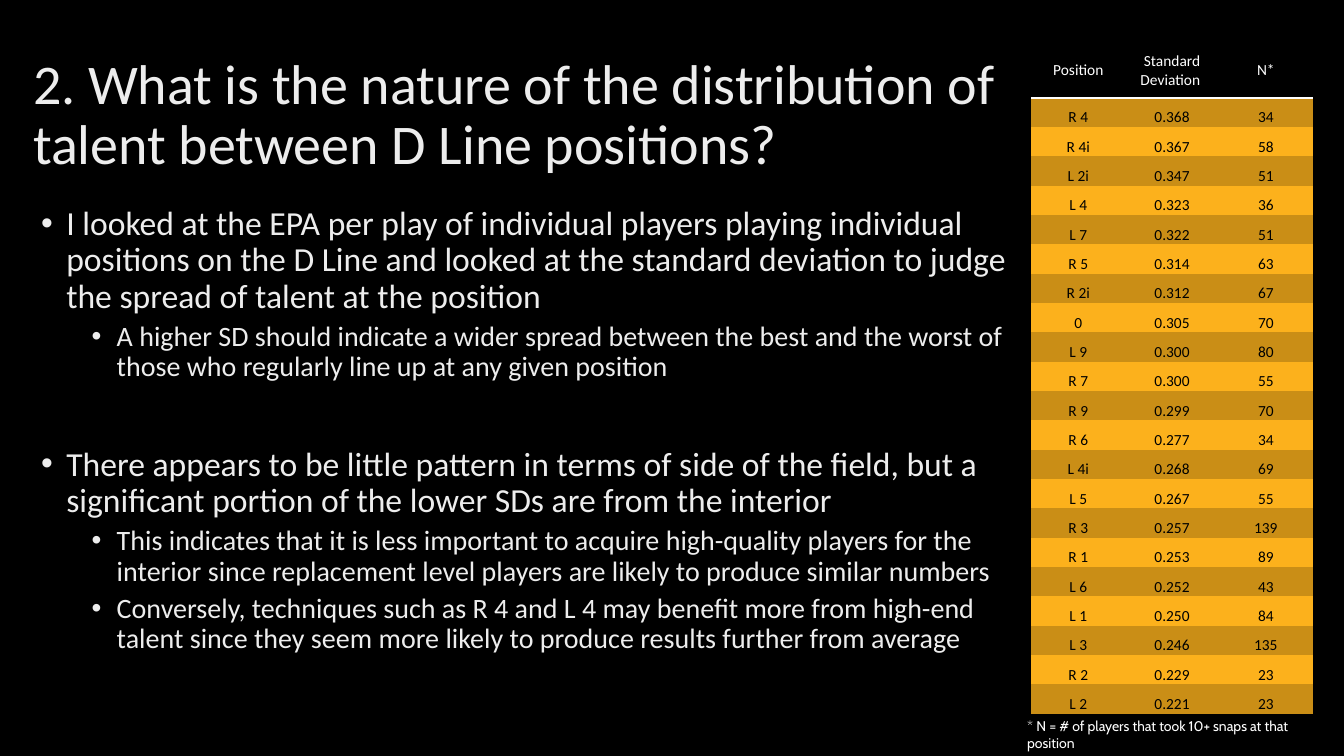
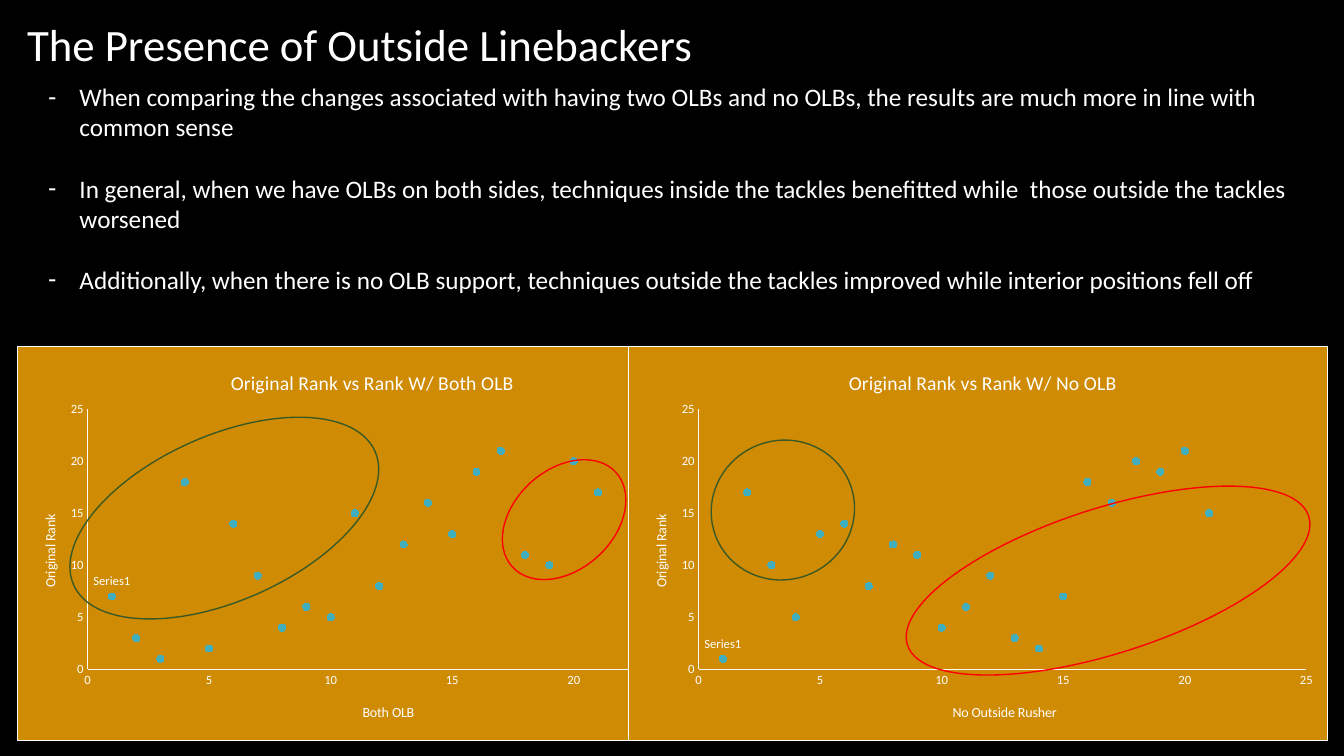
from pptx import Presentation
from pptx.chart.data import XyChartData
from pptx.dml.color import RGBColor
from pptx.enum import chart as charts, shapes, text
from pptx.oxml import parse_xml
from pptx.oxml.ns import nsdecls, qn
from pptx.util import Inches, Pt

BLACK, WHITE, PALE = "000000", "FFFFFF", "EDEDED"
DARK_GOLD, GOLD, CHART_GOLD = "CA8E16", "FCB11C", "CF8B03"
TEAL, GREEN, RED = "41AEBD", "3A5925", "FF0000"


def color(value):
    return RGBColor.from_string(value)


def add_text(page, place, items, font_color, font="Calibri", anchor=text.MSO_ANCHOR.TOP):
    """Add a text box; each item is (text, size, space before, line spacing, bullet, indent, hang)."""
    box = page.shapes.add_textbox(*[Inches(length) for length in place])
    frame = box.text_frame
    frame.word_wrap = True
    frame.vertical_anchor = anchor
    for index, (words, size, before, spacing, bullet, indent, hang) in enumerate(items):
        para = frame.add_paragraph() if index else frame.paragraphs[0]
        para.text = words
        para.space_before = Pt(before)
        para.line_spacing = spacing
        span = para.runs[0]
        span.font.name, span.font.size = font, Pt(size)
        span.font.color.rgb = color(font_color)
        if bullet:
            props = para._p.get_or_add_pPr()
            props.set("marL", str(Inches(indent)))
            props.set("indent", str(-Inches(hang)))
            props.append(parse_xml(f'<a:buFont {nsdecls("a")} typeface="Arial"/>'))
            props.append(parse_xml(f'<a:buChar {nsdecls("a")} char="{bullet}"/>'))


deck = Presentation()
deck.slide_width, deck.slide_height = Inches(13.33), Inches(7.5)
pages = [deck.slides.add_slide(deck.slide_layouts[6]) for _ in range(2)]
for page in pages:
    page.background.fill.solid()
    page.background.fill.fore_color.rgb = color(BLACK)
talent_page, linebacker_page = pages

# Distribution of talent: table
rows = [
    ("Position", "Standard Deviation ", "N*"),
    ("R 4", "0.368", "34"), ("R 4i", "0.367", "58"), ("L 2i", "0.347", "51"),
    ("L 4", "0.323", "36"), ("L 7", "0.322", "51"), ("R 5", "0.314", "63"),
    ("R 2i", "0.312", "67"), ("0", "0.305", "70"), ("L 9", "0.300", "80"),
    ("R 7", "0.300", "55"), ("R 9", "0.299", "70"), ("R 6", "0.277", "34"),
    ("L 4i", "0.268", "69"), ("L 5", "0.267", "55"), ("R 3", "0.257", "139"),
    ("R 1", "0.253", "89"), ("L 6", "0.252", "43"), ("L 1", "0.250", "84"),
    ("L 3", "0.246", "135"), ("R 2", "0.229", "23"), ("L 2", "0.221", "23"),
]
HEADER_HEIGHT, TABLE_HEIGHT = 0.54, 6.65
table_frame = talent_page.shapes.add_table(
    len(rows), 3, Inches(10.23), Inches(0.43), Inches(2.79), Inches(TABLE_HEIGHT))
for style in table_frame.element.iter(qn("a:tableStyleId")):
    style.text = "{2D5ABB26-0587-4C30-8999-92F81FD0307C}"  # no style, no grid
table = table_frame.table
for row_index, values in enumerate(rows):
    header = row_index == 0
    body_height = (TABLE_HEIGHT - HEADER_HEIGHT) / (len(rows) - 1)
    table.rows[row_index].height = Inches(HEADER_HEIGHT if header else body_height)
    for column_index, value in enumerate(values):
        cell = table.cell(row_index, column_index)
        cell.margin_left = cell.margin_right = cell.margin_top = cell.margin_bottom = 0
        cell.vertical_anchor = text.MSO_ANCHOR.MIDDLE if header else text.MSO_ANCHOR.BOTTOM
        cell.fill.solid()
        cell.fill.fore_color.rgb = color(BLACK if header else (GOLD, DARK_GOLD)[row_index % 2])
        para = cell.text_frame.paragraphs[0]
        para.text = value
        para.alignment = text.PP_ALIGN.CENTER
        span = para.runs[0]
        span.font.name, span.font.size = "Calibri", Pt(11)
        span.font.color.rgb = color(WHITE if header else BLACK)
        if header:
            cell._tc.get_or_add_tcPr().insert(0, parse_xml(
                f'<a:lnB {nsdecls("a")} w="{Pt(2)}"><a:solidFill>'
                f'<a:srgbClr val="{WHITE}"/></a:solidFill></a:lnB>'))

# Distribution of talent: text
add_text(talent_page, (10.09, 7.07, 3.24, 0.27),
         [("* N = # of players that took 10+ snaps at that position", 10, 0, 1, "", 0, 0)],
         WHITE, font="Cabin")
add_text(talent_page, (0.23, 0.43, 9.86, 1.45),
         [("2. What is the nature of the distribution of talent between D Line positions?",
           40, 0, 0.9, "", 0, 0)], PALE, anchor=text.MSO_ANCHOR.MIDDLE)
main, detail = (0.9, "•", 0.25, 0.25), (0.9, "•", 0.75, 0.25)
add_text(talent_page, (0.31, 2, 9.77, 4.76), [
    ("I looked at the EPA per play of individual players playing individual positions on the "
     "D Line and looked at the standard deviation to judge the spread of talent at the position",
     24, 0, *main),
    ("A higher SD should indicate a wider spread between the best and the worst of those who "
     "regularly line up at any given position", 20, 5, *detail),
    ("There appears to be little pattern in terms of side of the field, but a significant "
     "portion of the lower SDs are from the interior", 24, 46, *main),
    ("This indicates that it is less important to acquire high-quality players for the interior "
     "since replacement level players are likely to produce similar numbers", 20, 5, *detail),
    ("Conversely, techniques such as R 4 and L 4 may benefit more from high-end talent since "
     "they seem more likely to produce results further from average", 20, 5, *detail),
], PALE)

# Outside linebackers: text
add_text(linebacker_page, (0.17, 0.12, 6.86, 0.64),
         [("The Presence of Outside Linebackers", 32, 0, 1, "", 0, 0)], WHITE)
dash = (1, "-", 0.31, 0.31)
add_text(linebacker_page, (0.38, 0.76, 12.79, 2.22), [
    ("When comparing the changes associated with having two OLBs and no OLBs, the results are "
     "much more in line with common sense", 18, 0, *dash),
    ("In general, when we have OLBs on both sides, techniques inside the tackles benefitted "
     "while  those outside the tackles worsened", 18, 22, *dash),
    ("Additionally, when there is no OLB support, techniques outside the tackles improved while "
     "interior positions fell off", 18, 22, *dash),
], WHITE)

# Outside linebackers: charts, each with its title places and its ellipses
panels = [
    (0.17, "Original Rank vs Rank W/ Both OLB", "Both OLB", 0.3, 0.49,
     [7, 3, 1, 18, 2, 14, 9, 4, 6, 5, 15, 8, 12, 16, 13, 19, 21, 11, 10, 20, 17],
     [(0.59, 4.32, 3.27, 1.64, 336.1, GREEN), (4.9, 4.66, 1.39, 0.99, 317.6, RED)]),
    (6.23, "Original Rank vs Rank W/ No OLB", "No Outside Rusher", 0.31, 0.46,
     [1, 17, 10, 5, 13, 14, 8, 12, 11, 4, 6, 9, 3, 2, 7, 18, 16, 20, 19, 21, 15],
     [(8.9, 5.04, 4.18, 1.44, 342.2, RED), (7.05, 4.37, 1.43, 1.38, 336.1, GREEN)]),
]
for left, title, x_title, title_x, x_title_x, ranks, ellipses in panels:
    data = XyChartData()
    points = data.add_series("Series 1")
    for new_rank, old_rank in enumerate(ranks, 1):
        points.add_data_point(new_rank, old_rank)
    chart = linebacker_page.shapes.add_chart(
        charts.XL_CHART_TYPE.XY_SCATTER, Inches(left), Inches(3.43),
        Inches(6.94), Inches(3.92), data).chart
    chart.has_legend = False
    chart.font.name, chart.font.size = "Calibri", Pt(10)
    chart.font.color.rgb = color(WHITE)

    chart.has_title = True
    titles = [(chart.chart_title, title, 14)]
    for axis, words in ((chart.category_axis, x_title), (chart.value_axis, "Original Rank")):
        axis.minimum_scale, axis.maximum_scale, axis.major_unit = 0, 25, 5
        axis.has_major_gridlines = False
        axis.major_tick_mark = axis.minor_tick_mark = charts.XL_TICK_MARK.NONE
        axis.tick_labels.font.size = Pt(9)
        axis.tick_labels.font.name = "Calibri"
        axis.tick_labels.font.color.rgb = color(WHITE)
        axis.format.line.color.rgb = color(WHITE)
        axis.format.line.width = Pt(0.75)
        axis.has_title = True
        titles.append((axis.axis_title, words, 10))

    series = chart.plots[0].series[0]
    series.format.line.fill.background()
    series.marker.style = charts.XL_MARKER_STYLE.CIRCLE
    series.marker.size = 5
    series.marker.format.fill.solid()
    series.marker.format.fill.fore_color.rgb = color(TEAL)
    series.marker.format.line.color.rgb = color(TEAL)
    label = series.points[0].data_label
    titles.append((label, "Series1", 9))
    for holder, words, size in titles:
        para = holder.text_frame.paragraphs[0]
        para.text = words
        span = para.runs[0]
        span.font.name, span.font.size, span.font.bold = "Calibri", Pt(size), False
        span.font.color.rgb = color(WHITE)
    label.position = charts.XL_LABEL_POSITION.ABOVE

    chart_xml = chart.element
    for labels in chart_xml.iter(qn("c:dLbls")):
        for flag in labels.findall(qn("c:showVal")):
            flag.set("val", "0")
    chart_xml.find(qn("c:txPr")).addprevious(parse_xml(
        f'<c:spPr {nsdecls("c", "a")}>'
        f'<a:solidFill><a:srgbClr val="{CHART_GOLD}"/></a:solidFill>'
        f'<a:ln w="{Pt(0.75)}"><a:solidFill><a:srgbClr val="{WHITE}"/></a:solidFill></a:ln>'
        '</c:spPr>'))

    # Places as shares of the chart: plot, then chart title, x title, y title
    plot_area = next(chart_xml.iter(qn("c:plotArea")))
    holders = [plot_area, *chart_xml.iter(qn("c:title"))]
    places = [{"x": 0.1, "y": 0.16, "w": 0.87, "h": 0.66}, {"x": title_x, "y": 0.05},
              {"x": x_title_x, "y": 0.9}, {"x": 0.03, "y": 0.42}]
    for holder, place in zip(holders, places):
        target = '<c:layoutTarget val="inner"/>' if holder is plot_area else ""
        modes = '<c:xMode val="edge"/><c:yMode val="edge"/>'
        shares = "".join(f'<c:{key} val="{share}"/>' for key, share in place.items())
        layout = parse_xml(f'<c:layout {nsdecls("c")}><c:manualLayout>{target}{modes}{shares}'
                           '</c:manualLayout></c:layout>')
        old_layout = holder.find(qn("c:layout"))
        if old_layout is not None:
            holder.replace(old_layout, layout)
        else:
            holder.insert(0 if holder is plot_area else 1, layout)

    for *place, angle, line_color in ellipses:
        ellipse = linebacker_page.shapes.add_shape(
            shapes.MSO_SHAPE.OVAL, *[Inches(length) for length in place])
        ellipse.rotation = angle
        ellipse.shadow.inherit = False
        ellipse.fill.background()
        ellipse.line.color.rgb = color(line_color)
        ellipse.line.width = Pt(1)

deck.save("out.pptx")
